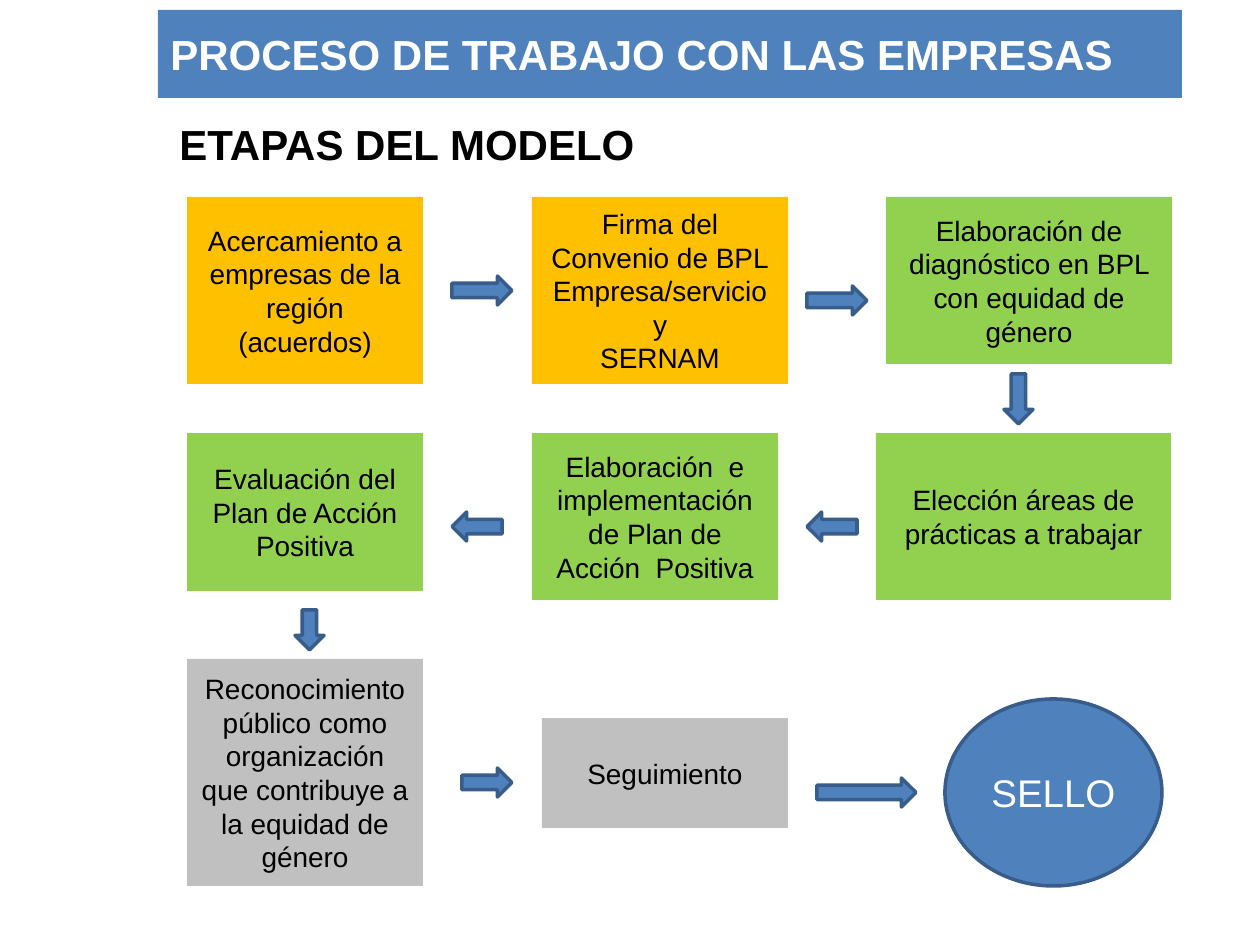
from pptx import Presentation
from pptx.dml.color import RGBColor
from pptx.enum.shapes import MSO_SHAPE
from pptx.enum.text import MSO_ANCHOR, PP_ALIGN
from pptx.util import Emu, Pt

PX = 914400 / 126
BLUE = RGBColor(0x4F, 0x81, 0xBD)
NAVY = RGBColor(0x38, 0x5D, 0x8A)
AMBER = RGBColor(0xFF, 0xC0, 0x00)
GREEN = RGBColor(0x92, 0xD0, 0x50)
GRAY = RGBColor(0xC0, 0xC0, 0xC0)
BLACK = RGBColor(0, 0, 0)
WHITE = RGBColor(255, 255, 255)

TITLE = "PROCESO DE TRABAJO CON LAS EMPRESAS"
HEADING = "ETAPAS DEL MODELO"
SEAL = "SELLO"

# Each row: top, then its steps as (left, width, height, fill, text)
ROWS = [
    (197, [
        (187, 236, 187, AMBER, "Acercamiento a empresas de la región (acuerdos)"),
        (532, 256, 187, AMBER, "Firma del Convenio de BPL\nEmpresa/servicio\ny\nSERNAM"),
        (886, 286, 167, GREEN,
         "Elaboración de diagnóstico en BPL con equidad de género"),
    ]),
    (433, [
        (187, 236, 158, GREEN, "Evaluación del Plan de Acción Positiva"),
        (532, 246, 167, GREEN,
         "Elaboración  e implementación de Plan de Acción  Positiva"),
        (876, 295, 167, GREEN, "Elección áreas de prácticas a trabajar"),
    ]),
    (659, [
        (187, 236, 227, GRAY, "Reconocimiento público como organización "
                              "que contribuye a la equidad de género"),
    ]),
    (718, [(542, 246, 110, GRAY, "Seguimiento")]),
]

# Direction, left, top, length
ARROWS = [
    ("right", 452, 276, 60),
    ("right", 807, 286, 60),
    ("down", 1004, 374, 50),
    ("left", 807, 512, 50),
    ("left", 452, 512, 50),
    ("down", 295, 610, 40),
    ("right", 462, 768, 50),
    ("right", 817, 778, 99),
]
THICK = 29


def scale(*nums):
    return [Emu(round(n * PX)) for n in nums]


def write(shape, text, size=16, color=BLACK, bold=False, align=PP_ALIGN.CENTER):
    frame = shape.text_frame
    frame.word_wrap = True
    frame.vertical_anchor = MSO_ANCHOR.MIDDLE
    frame.text = text
    for para in frame.paragraphs:
        para.alignment = align
        font = para.font
        font.name, font.size, font.bold = "Arial", Pt(size), bold
        font.color.rgb = color


def draw(slide, kind, box, fill, edge=None):
    shape = slide.shapes.add_shape(kind, *scale(*box))
    shape.shadow.inherit = False
    shape.fill.solid()
    shape.fill.fore_color.rgb = fill
    if edge is None:
        shape.line.fill.background()
    else:
        shape.line.color.rgb = edge
        shape.line.width = Pt(2)
    return shape


def arrow(slide, way, left, top, length):
    down = way == "down"
    kind = MSO_SHAPE.DOWN_ARROW if down else MSO_SHAPE.RIGHT_ARROW
    size = (THICK, length) if down else (length, THICK)
    shape = draw(slide, kind, (left, top, *size), BLUE, NAVY)
    if way == "left":
        shape.rotation = 180


def main():
    deck = Presentation()
    deck.slide_width, deck.slide_height = scale(1260, 945)
    slide = deck.slides.add_slide(deck.slide_layouts[6])

    head = dict(size=24, bold=True, align=PP_ALIGN.LEFT)
    banner = draw(slide, MSO_SHAPE.RECTANGLE, (158, 10, 1024, 88), BLUE)
    write(banner, TITLE, color=WHITE, **head)
    label = slide.shapes.add_textbox(*scale(167, 109, 927, 69))
    write(label, HEADING, **head)

    for top, steps in ROWS:
        for left, width, height, fill, text in steps:
            box = (left, top, width, height)
            write(draw(slide, MSO_SHAPE.RECTANGLE, box, fill), text)

    for item in ARROWS:
        arrow(slide, *item)

    seal = draw(slide, MSO_SHAPE.OVAL, (945, 699, 217, 187), BLUE, NAVY)
    write(seal, SEAL, size=22, color=WHITE)

    deck.save("out.pptx")


if __name__ == "__main__":
    main()
